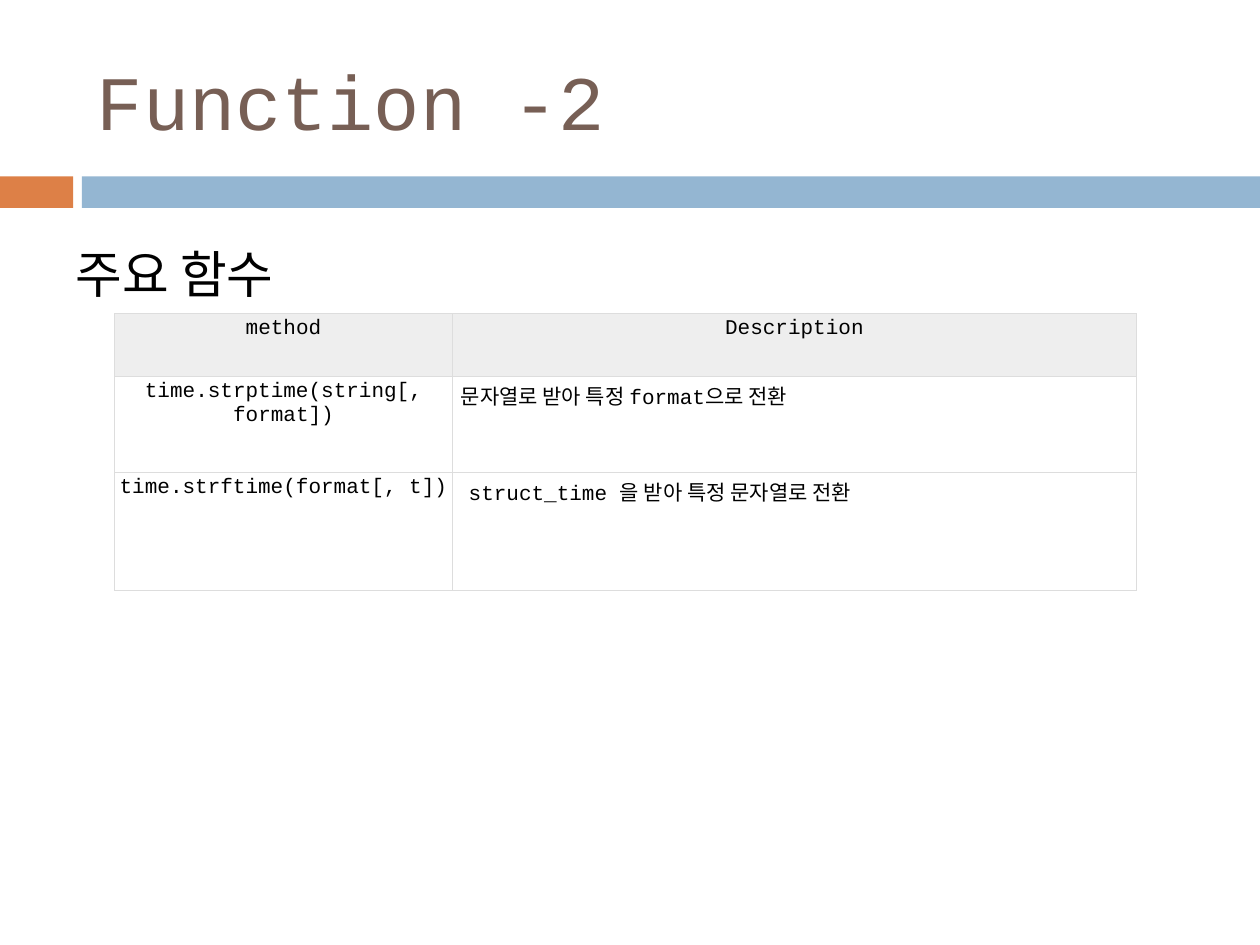
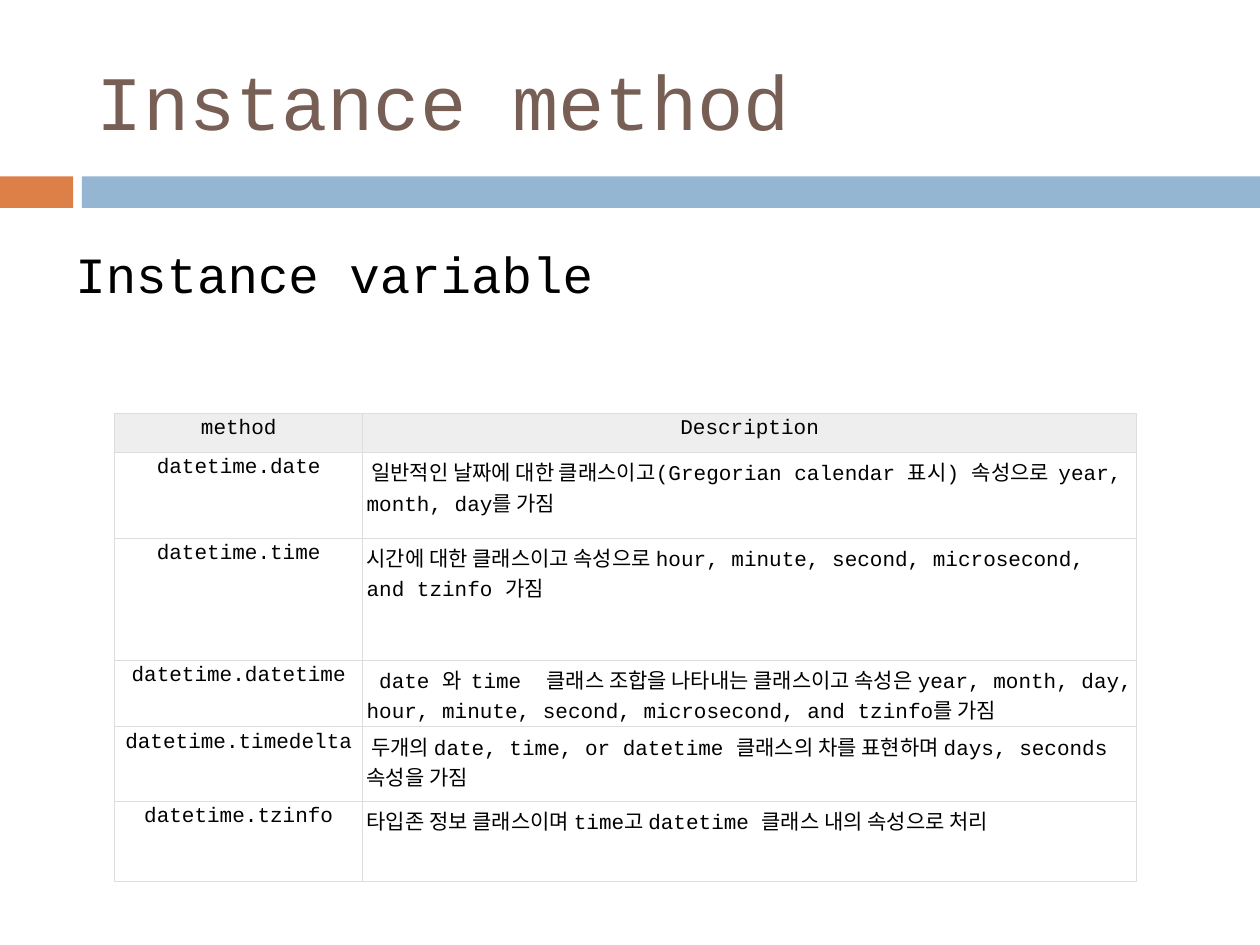
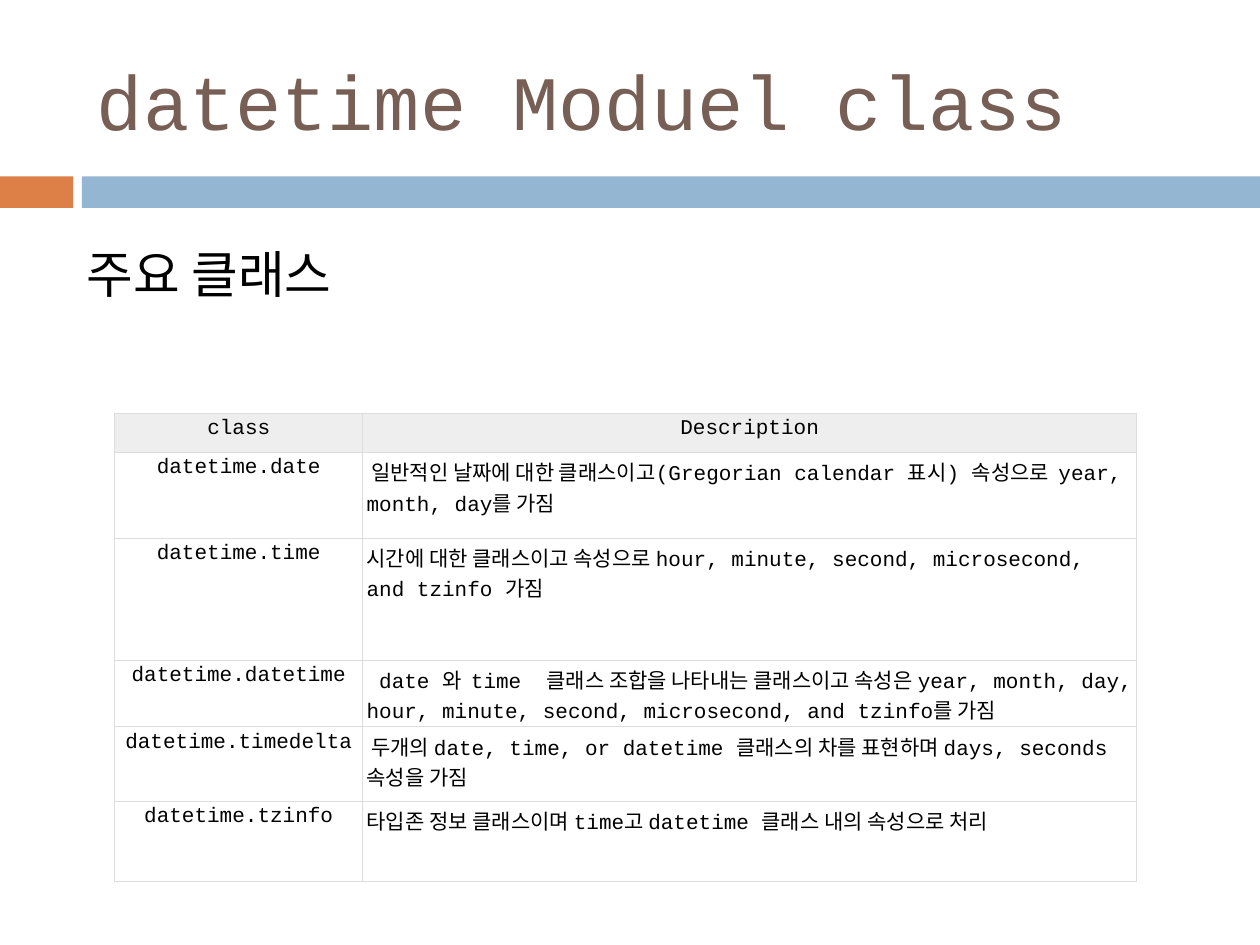
from pptx import Presentation
from pptx.dml.color import RGBColor
from pptx.enum.shapes import MSO_SHAPE
from pptx.enum.text import MSO_ANCHOR, PP_ALIGN
from pptx.oxml import parse_xml
from pptx.oxml.ns import nsdecls
from pptx.util import Inches, Pt

RECT = MSO_SHAPE.RECTANGLE
TOP, MIDDLE = MSO_ANCHOR.TOP, MSO_ANCHOR.MIDDLE
LEFT, CENTER = PP_ALIGN.LEFT, PP_ALIGN.CENTER

FONT = "Courier New"
BLACK, BROWN = "000000", "775F55"
ORANGE, BLUE = "DD8047", "94B6D2"
HEADER_FILL, GRID = "EEEEEE", "DDDDDD"
GRID_WIDTH = 0.6
CELL_MARGIN = 0.03
TABLE_LEFT = 0.91

FUNCTION_ROWS = [
    ("time.strptime(string[, format])", " 문자열로 받아 특정 format으로 전환"),
    ("time.strftime(format[, t])", " struct_time 을 받아 특정 문자열로 전환"),
]
CLASS_ROWS = [
    ("datetime.date",
     " 일반적인 날짜에 대한 클래스이고(Gregorian calendar 표시) 속성으로  year, month, day를 가짐"),
    ("datetime.time",
     "시간에 대한 클래스이고 속성으로 hour, minute, second, microsecond, and tzinfo 가짐"),
    ("datetime.datetime",
     " date 와  time  클래스 조합을 나타내는 클래스이고 속성은 year, month, day, hour, "
     "minute, second, microsecond, and tzinfo를 가짐"),
    ("datetime.timedelta",
     " 두개의 date, time, or datetime 클래스의 차를 표현하며 days, seconds  속성을 가짐"),
    ("datetime.tzinfo",
     "타입존 정보 클래스이며 time고 datetime 클래스 내의 속성으로 처리"),
]
FUNCTION_GRID = dict(top=2.49, cols=[2.68, 5.43], heights=[0.5, 0.76, 0.94])
CLASS_GRID = dict(top=3.28, cols=[1.97, 6.14],
                  heights=[0.31, 0.68, 0.97, 0.53, 0.59, 0.64])


def rgb(color):
    return RGBColor.from_string(color)


class Deck:
    def __init__(self):
        self.prs = Presentation()
        self.prs.slide_width, self.prs.slide_height = Inches(10), Inches(7.5)
        self.s = None

    def new_slide(self, title, heading):
        self.s = self.prs.slides.add_slide(self.prs.slide_layouts[6])
        self.band(0, 0.58, ORANGE)
        self.band(0.65, 9.35, BLUE)
        self.text((0.67, 0.25, 8.92, 1.08), title, 44, BROWN, anchor=MIDDLE)
        self.text((0.5, 1.78, 9, 0.79), heading, 29, BLACK, spacing=1.2)

    def band(self, left, width, color):
        sp = self.s.shapes.add_shape(
            RECT, Inches(left), Inches(1.4), Inches(width), Inches(0.25))
        sp.shadow.inherit = False
        sp.fill.solid()
        sp.fill.fore_color.rgb = rgb(color)
        sp.line.fill.background()

    def fill_paragraph(self, tf, text, size, color, align=LEFT):
        p = tf.paragraphs[0]
        p.alignment = align
        r = p.add_run()
        r.text = text
        r.font.name, r.font.size = FONT, Pt(size)
        r.font.color.rgb = rgb(color)
        return p

    def text(self, box, text, size, color, anchor=TOP, spacing=1.0):
        tf = self.s.shapes.add_textbox(*map(Inches, box)).text_frame
        tf.word_wrap = True
        tf.vertical_anchor = anchor
        p = self.fill_paragraph(tf, text, size, color)
        p.line_spacing = spacing

    def borders(self, cell):
        tc_pr = cell._tc.get_or_add_tcPr()
        for side in "LRTB":
            tc_pr.append(parse_xml(
                f'<a:ln{side} {nsdecls("a")} w="{Pt(GRID_WIDTH)}"><a:solidFill>'
                f'<a:srgbClr val="{GRID}"/></a:solidFill></a:ln{side}>'))

    def cell(self, cell, text, align, fill=None):
        cell.margin_left = cell.margin_right = Inches(CELL_MARGIN)
        cell.margin_top = cell.margin_bottom = Inches(CELL_MARGIN)
        self.borders(cell)
        if fill:
            cell.fill.solid()
            cell.fill.fore_color.rgb = rgb(fill)
        else:
            cell.fill.background()
        self.fill_paragraph(cell.text_frame, text, 12, BLACK, align)

    def table(self, name_header, rows, top, cols, heights):
        """Draw a name and description table under a shaded header row."""
        table = self.s.shapes.add_table(
            len(heights), len(cols), Inches(TABLE_LEFT), Inches(top),
            Inches(sum(cols)), Inches(sum(heights))).table
        table.first_row = table.horz_banding = False
        for col, width in zip(table.columns, cols):
            col.width = Inches(width)
        for row, height in zip(table.rows, heights):
            row.height = Inches(height)
        for i, label in enumerate((name_header, "Description")):
            self.cell(table.cell(0, i), label, CENTER, HEADER_FILL)
        for i, (name, description) in enumerate(rows, 1):
            self.cell(table.cell(i, 0), name, CENTER)
            self.cell(table.cell(i, 1), description, LEFT)


def main():
    deck = Deck()
    deck.new_slide("Function -2", "주요 함수")
    deck.table("method", FUNCTION_ROWS, **FUNCTION_GRID)
    deck.new_slide("Instance method", "Instance variable")
    deck.table("method", CLASS_ROWS, **CLASS_GRID)
    deck.new_slide("datetime Moduel class", " 주요 클래스")
    deck.table("class", CLASS_ROWS, **CLASS_GRID)
    deck.prs.save("out.pptx")


if __name__ == "__main__":
    main()
